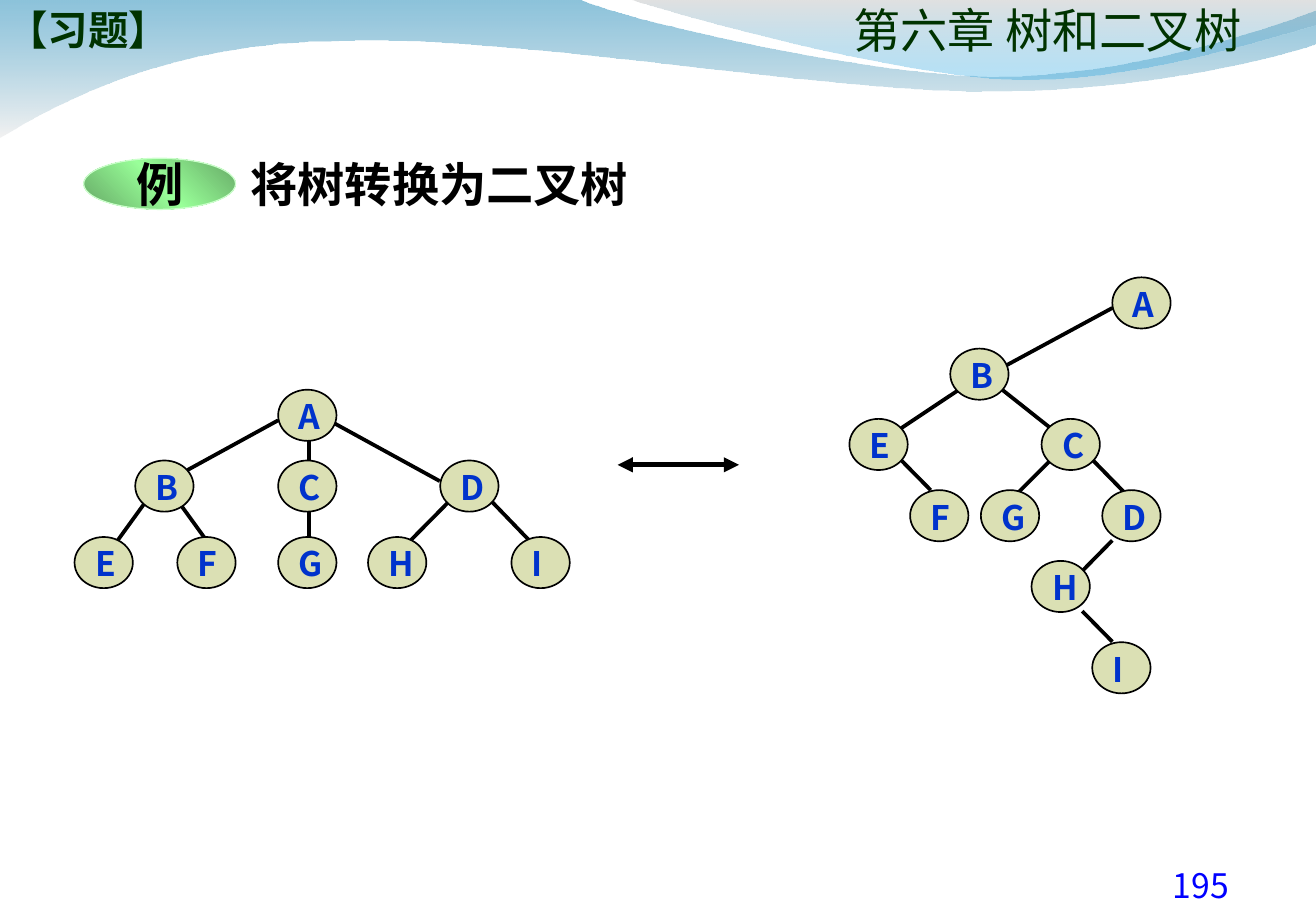
"""Build the exercise slide that turns a tree into a binary tree."""
from dataclasses import dataclass

from lxml.etree import SubElement
from pptx import Presentation
from pptx.dml.color import RGBColor
from pptx.enum.shapes import MSO_CONNECTOR, MSO_SHAPE
from pptx.enum.text import MSO_ANCHOR as Anchor
from pptx.enum.text import MSO_AUTO_SIZE, PP_ALIGN as Align
from pptx.oxml.ns import qn
from pptx.util import Cm, Pt

BLACK = RGBColor(0x00, 0x00, 0x00)
DARK_GREEN = RGBColor(0x00, 0x33, 0x00)
NUMBER_BLUE = RGBColor(0x00, 0x00, 0xFF)
LETTER_BLUE = RGBColor(0x00, 0x33, 0xCC)
NODE_FILL = RGBColor(0xDB, 0xE0, 0xB4)
BADGE_EDGE = RGBColor(0x65, 0xA8, 0x65)
BADGE_CORE = RGBColor(0x99, 0xFF, 0x99)
BADGE_LINE = RGBColor(0xCC, 0xFF, 0xCC)
DEEP_BLUE = RGBColor(0x00, 0x79, 0xAF)
PALE_GREY = RGBColor(0xE7, 0xE7, 0xE7)
MID_GREY = RGBColor(0xBC, 0xBC, 0xBC)
SKY_BLUE = RGBColor(0x00, 0x9B, 0xE5)

SANS = "Noto Sans CJK SC"
SERIF = "Times New Roman"
NODE_WIDTH, NODE_HEIGHT = 1.22, 1.07
LETTER_SHIFT, LETTER_HEIGHT = 0.18, 1.12

Point = tuple[float, float]


@dataclass(frozen=True)
class Stop:
    position: int
    color: RGBColor
    opacity: int = 100


@dataclass(frozen=True)
class Wave:
    """An outline whose segments hold one point (line) or three (curve)."""
    start: Point
    segments: tuple[tuple[Point, ...], ...]
    stops: tuple[Stop, ...]


@dataclass(frozen=True)
class Level:
    top: float
    lefts: dict[str, float]


@dataclass(frozen=True)
class Tree:
    edges: tuple[tuple[Point, Point], ...]
    levels: tuple[Level, ...]


WAVES = (
    Wave((0, 0), (
        ((12.14, 0),),
        ((13.08, 0.43), (18.26, 1.6), (20.88, 1.6)),
        ((23.47, 1.6), (26.37, 0.66), (27.51, 0.23)),
        ((27.53, 0.91),),
        ((27.05, 1.12), (23.93, 1.93), (20.52, 1.91)),
        ((17.12, 1.91), (10.52, 0.71), (7.09, 0.86)),
        ((3.56, 0.89), (1.27, 2.11), (0, 2.87)),
    ), (Stop(0, DEEP_BLUE, 45), Stop(100, PALE_GREY, 55))),
    Wave((13.2, 0), (
        ((14.02, 0.28), (18.77, 1.57), (21.16, 1.65)),
        ((23.55, 1.75), (26.47, 0.81), (27.51, 0.53)),
        ((27.51, 0),),
    ), (Stop(0, MID_GREY, 45), Stop(100, SKY_BLUE, 30))),
)

GENERAL_TREE = Tree(
    edges=(
        ((6.46, 9.19), (6.46, 9.63)), ((5.82, 8.79), (3.92, 9.83)),
        ((3.07, 10.46), (2.44, 11.33)), ((3.71, 10.46), (4.34, 11.33)),
        ((6.46, 10.69), (6.46, 11.33)), ((6.88, 8.79), (9.2, 10.06)),
        ((9.42, 10.46), (8.56, 11.33)), ((10.26, 10.46), (11.1, 11.33)),
    ),
    levels=(
        Level(8.15, {"A": 5.82}),
        Level(9.63, {"B": 2.83, "C": 5.82, "D": 9.21}),
        Level(11.23, {"E": 1.56, "F": 3.71, "G": 5.82, "H": 7.7, "I": 10.7}),
    ),
)
BINARY_TREE = Tree(
    edges=(
        ((23.27, 6.44), (20.94, 7.7)), ((20.09, 8.13), (18.83, 8.97)),
        ((20.94, 8.13), (22, 8.97)), ((23.27, 11.3), (22.64, 11.94)),
        ((22.64, 12.78), (23.27, 13.42)), ((22.84, 9.6), (23.68, 10.46)),
        ((22, 9.6), (21.14, 10.46)), ((18.83, 9.6), (19.47, 10.25)),
    ),
    levels=(
        Level(5.8, {"A": 23.27}),
        Level(7.29, {"B": 19.88}),
        Level(8.76, {"E": 17.77, "C": 21.79}),
        Level(10.25, {"F": 19.04, "G": 20.52, "D": 23.06}),
        Level(11.73, {"H": 21.58}),
        Level(13.43, {"I": 22.85}),
    ),
)


def write(shape, text: str, *, size: float, color: RGBColor, font: str = SANS,
          bold: bool = False, align=Align.CENTER, anchor=Anchor.TOP, wrap: bool = True,
          margins: tuple[float, float, float, float] = (0.25, 0.13, 0.25, 0.13)) -> None:
    frame = shape.text_frame
    frame.auto_size = MSO_AUTO_SIZE.NONE
    frame.word_wrap = wrap
    frame.vertical_anchor = anchor
    (frame.margin_left, frame.margin_top,
     frame.margin_right, frame.margin_bottom) = map(Cm, margins)
    para = frame.paragraphs[0]
    para.alignment = align
    span = para.add_run()
    span.text = text
    span.font.name, span.font.size, span.font.bold = font, Pt(size), bold
    span.font.color.rgb = color
    SubElement(span.font._element, qn("a:ea"), typeface=SANS)


def fill_gradient(shape, stops: tuple[Stop, ...], angle: int) -> None:
    shape.fill.gradient()
    shape.fill.gradient_angle = angle
    stop_list = shape.element.spPr.find(qn("a:gradFill")).find(qn("a:gsLst"))
    stop_list.clear()
    for stop in stops:
        entry = SubElement(stop_list, qn("a:gs"), pos=str(stop.position * 1000))
        color = SubElement(entry, qn("a:srgbClr"), val=str(stop.color))
        if stop.opacity < 100:
            SubElement(color, qn("a:alpha"), val=str(stop.opacity * 1000))


def bend_segments(shape, segments: tuple[tuple[Point, ...], ...]) -> None:
    steps = iter(list(shape.element.spPr.iter(qn("a:lnTo"))))
    for segment in segments:
        first, *others = [next(steps) for _ in segment]
        if others:
            curve = SubElement(first.getparent(), qn("a:cubicBezTo"))
            first.addprevious(curve)
            for step in (first, *others):
                curve.append(step[0])
                step.getparent().remove(step)


def draw_wave(shapes, wave: Wave) -> None:
    points = [wave.start, *(point for segment in wave.segments for point in segment)]
    vertices = [(Cm(x), Cm(y)) for x, y in points]
    builder = shapes.build_freeform(*vertices[0])
    builder.add_line_segments(vertices[1:], close=True)
    shape = builder.convert_to_shape()
    bend_segments(shape, wave.segments)
    shape.shadow.inherit = False
    fill_gradient(shape, wave.stops, 270)
    shape.line.fill.background()


def draw_line(shapes, start: Point, end: Point, width: float = 2.25,
              arrows: bool = False) -> None:
    line = shapes.add_connector(MSO_CONNECTOR.STRAIGHT, *map(Cm, start + end))
    line.line.color.rgb = BLACK
    line.line.width = Pt(width)
    properties = line.element.spPr
    if arrows:
        for tip in ("a:headEnd", "a:tailEnd"):
            SubElement(properties.find(qn("a:ln")), qn(tip), type="triangle")
    SubElement(properties, qn("a:effectLst"))


def add_ellipse(shapes, left: float, top: float, width: float, height: float,
                line_color: RGBColor, line_width: float):
    ellipse = shapes.add_shape(MSO_SHAPE.OVAL, *map(Cm, (left, top, width, height)))
    ellipse.shadow.inherit = False
    ellipse.line.color.rgb = line_color
    ellipse.line.width = Pt(line_width)
    return ellipse


def add_text(shapes, left: float, top: float, width: float, height: float,
             text: str, **style) -> None:
    write(shapes.add_textbox(*map(Cm, (left, top, width, height))), text, **style)


def draw_tree(page, tree: Tree) -> None:
    shapes = page.shapes.add_group_shape().shapes
    for start, end in tree.edges:
        draw_line(shapes, start, end)
    for level in tree.levels:
        for name, left in level.lefts.items():
            node = add_ellipse(shapes, left, level.top, NODE_WIDTH, NODE_HEIGHT, BLACK, 1)
            node.fill.solid()
            node.fill.fore_color.rgb = NODE_FILL
            add_text(shapes, left + LETTER_SHIFT, level.top, NODE_WIDTH, LETTER_HEIGHT, name,
                     size=20, color=LETTER_BLUE, bold=True, align=Align.LEFT)


def main() -> None:
    deck = Presentation()
    deck.slide_width, deck.slide_height = Cm(27.53), Cm(19.05)
    page = deck.slides.add_slide(deck.slide_layouts[5])
    shapes = page.shapes
    for wave in WAVES:
        draw_wave(shapes, wave)
    add_text(shapes, 22.8, 17.96, 4.65, 1.09, "195", size=20, color=NUMBER_BLUE)
    add_text(shapes, 17.73, -0.79, 8.36, 2.01, "第六章 树和二叉树", size=28, color=DARK_GREEN,
             font=SERIF, anchor=Anchor.BOTTOM, margins=(0, 0.13, 0, 0))

    draw_tree(page, GENERAL_TREE)
    draw_line(shapes, (12.92, 9.72), (15.46, 9.72), width=3, arrows=True)
    add_text(shapes, 5, 3.12, 8.38, 1.45, "将树转换为二叉树", size=28, color=BLACK,
             bold=True, wrap=False)
    draw_tree(page, BINARY_TREE)

    badge = add_ellipse(shapes, 1.75, 3.31, 3.18, 1.07, BADGE_LINE, 0.75)
    fill_gradient(badge, (Stop(0, BADGE_EDGE), Stop(50, BADGE_CORE), Stop(100, BADGE_EDGE)), 45)
    write(badge, "例", size=28, color=BLACK, font=SERIF, bold=True,
          anchor=Anchor.MIDDLE, wrap=False)

    title = shapes.title
    title.left, title.top, title.width, title.height = map(Cm, (0.15, 0.05, 8.99, 1.07))
    write(title, "【习题】", size=24, color=DARK_GREEN, font=SERIF, bold=True,
          align=Align.LEFT, anchor=Anchor.BOTTOM, margins=(0, 0.13, 0, 0))
    title.element.getparent().append(title.element)
    deck.save("out.pptx")


if __name__ == "__main__":
    main()
